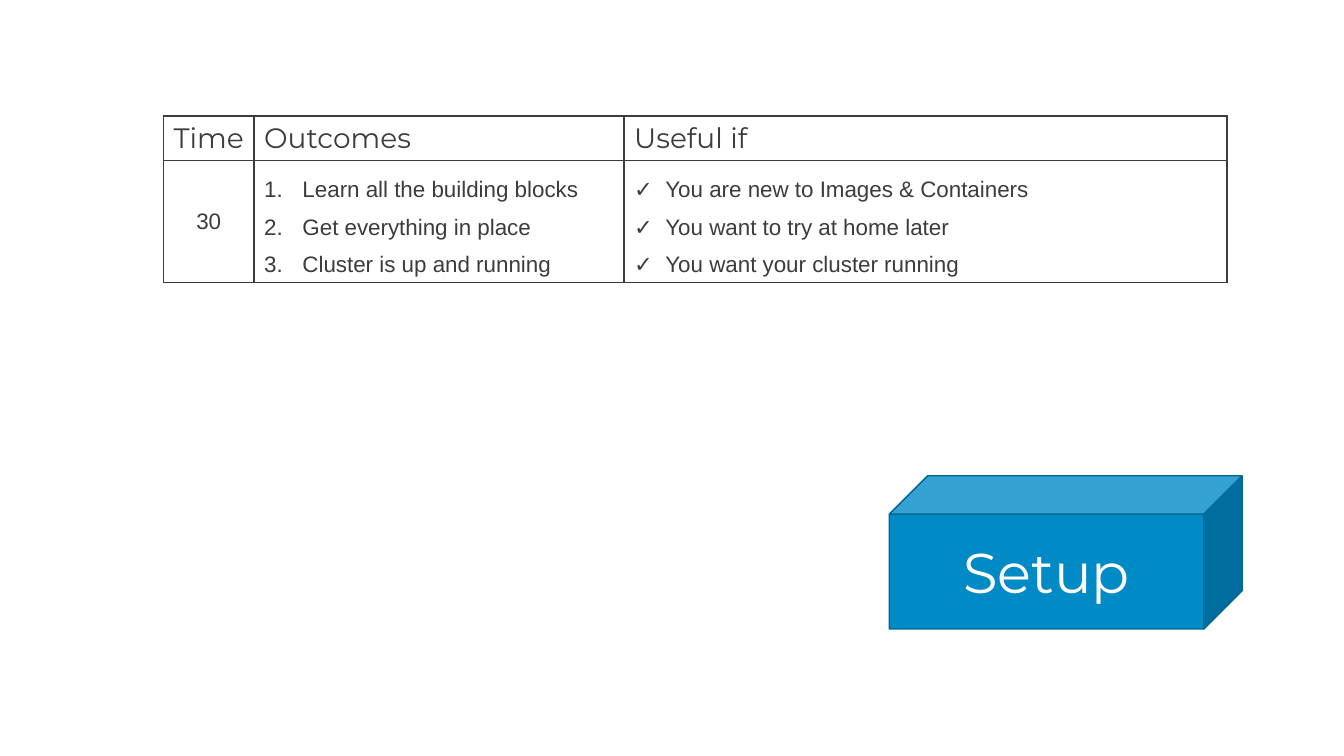
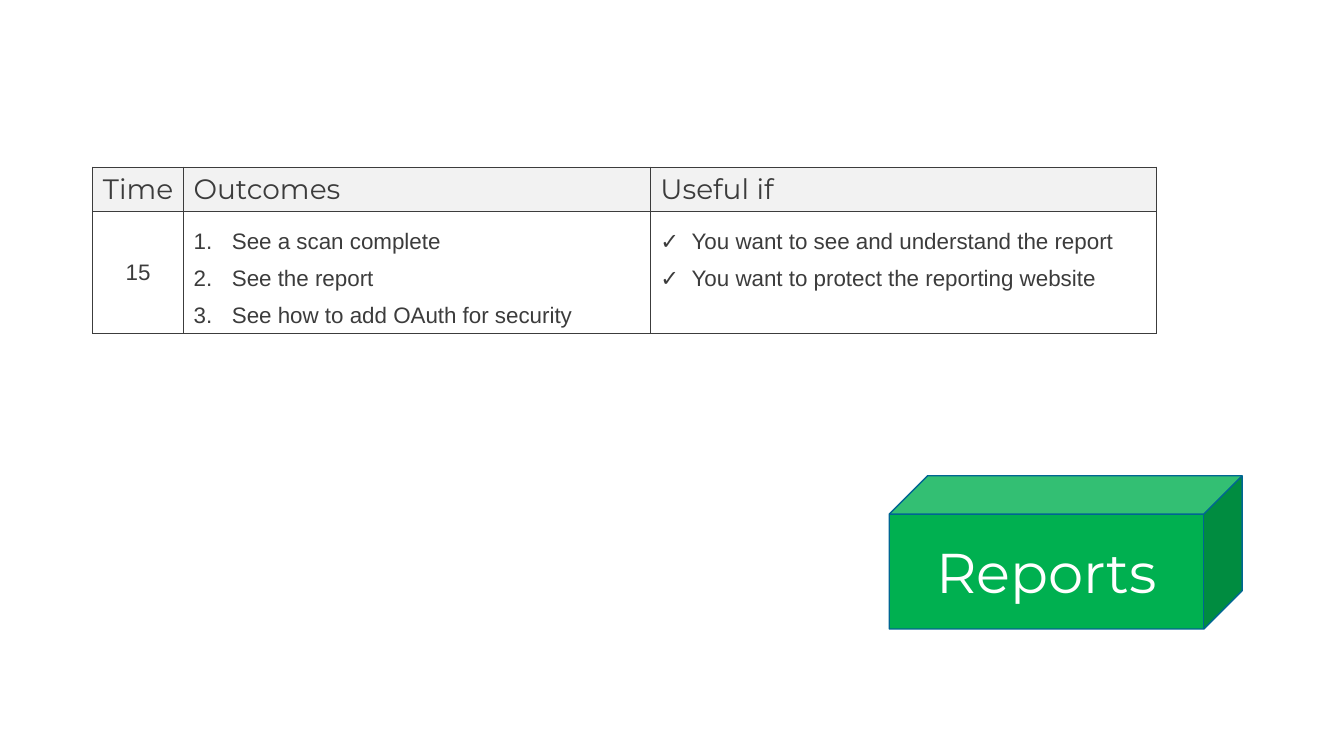
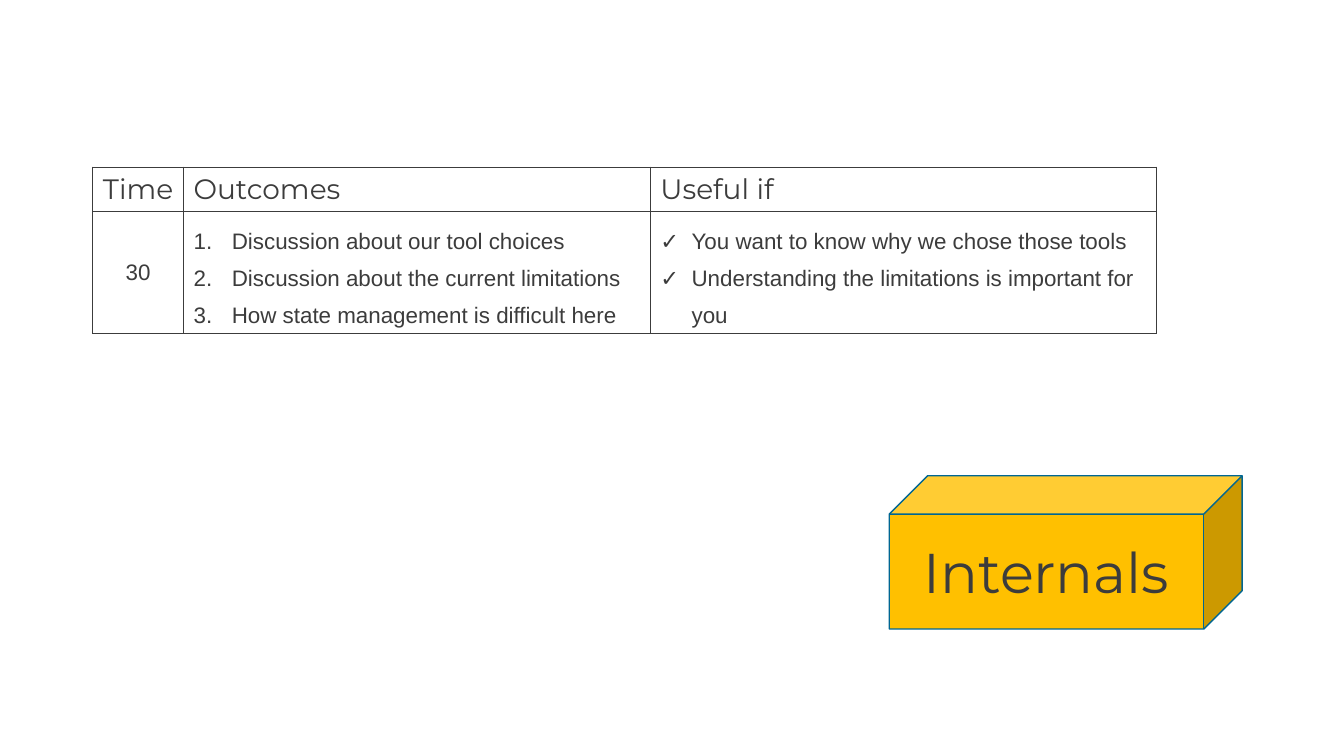
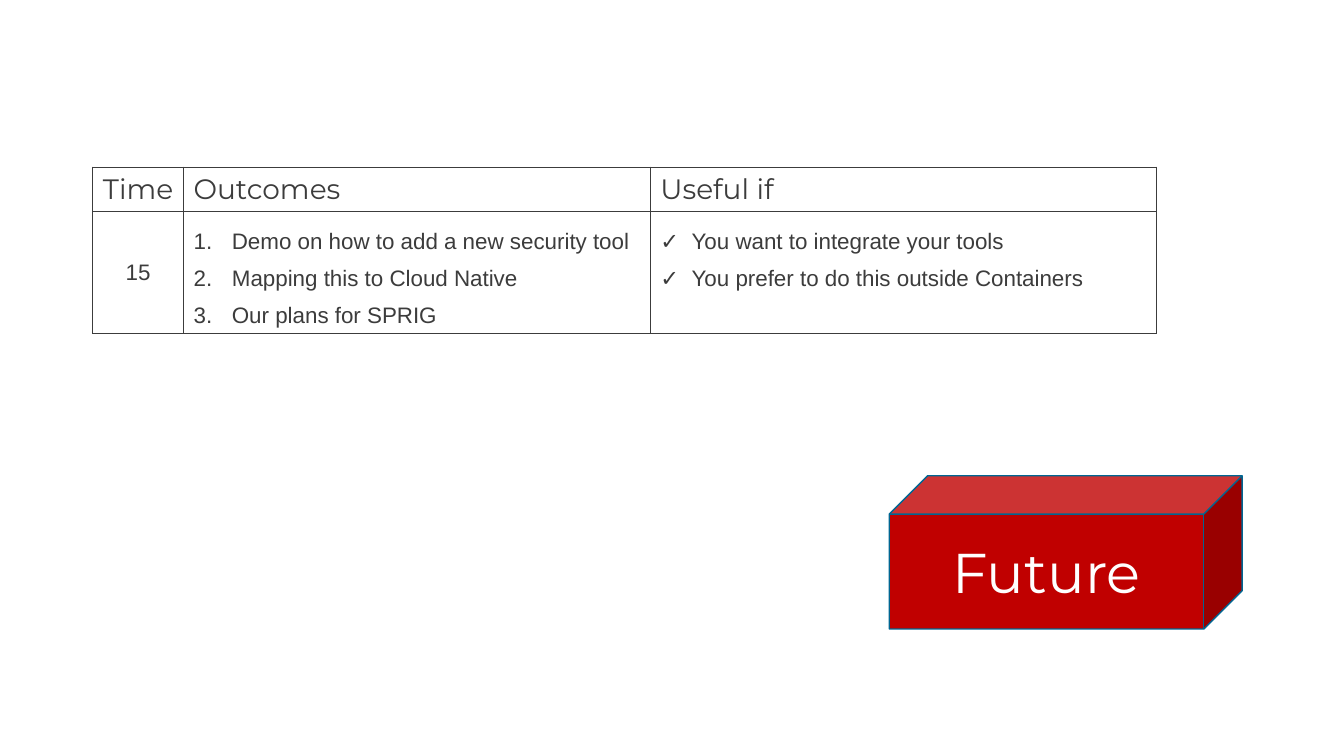
from dataclasses import dataclass
from lxml.etree import SubElement
from pptx import Presentation
from pptx.dml.color import RGBColor
from pptx.enum.shapes import MSO_SHAPE
from pptx.enum.text import MSO_ANCHOR, PP_ALIGN
from pptx.oxml.ns import qn
from pptx.util import Inches, Pt


@dataclass
class Theme:
    ink: str = "3C3C3C"
    white: str = "FFFFFF"
    gray: str = "F2F2F2"
    edge: str = "006692"
    blue: str = "008AC6"
    green: str = "00B050"
    amber: str = "FFC000"
    red: str = "C00000"
    head: str = "Montserrat"
    body: str = "Arial"
    large: int = 40
    mid: int = 20
    small: int = 16


theme = Theme()


def style(para, face, size, color):
    for run in para.runs:
        run.font.name = face
        run.font.size = Pt(size)
        run.font.color.rgb = RGBColor.from_string(color)


def finish(cell, fill):
    props = cell._tc.get_or_add_tcPr()
    for side in ("lnL", "lnR", "lnT", "lnB"):
        line = SubElement(props, qn(f"a:{side}"), w=str(Pt(1)))
        solid = SubElement(line, qn("a:solidFill"))
        SubElement(solid, qn("a:srgbClr"), val=theme.ink)
    cell.fill.solid()
    cell.fill.fore_color.rgb = RGBColor.from_string(fill)


heads = ["Time", "Outcomes", "Useful if"]
left, top = 0.92, 1.66
cols = [0.9, 4.63, 5.02]
rows = [0.44, 1.21]

topics = [
    dict(
        name="Setup", fill=theme.blue, text=theme.white, band=theme.white,
        left=1.62, top=1.15, cols=[0.9, 3.67, 5.98], time="30",
        goals=["Learn all the building blocks", "Get everything in place",
               "Cluster is up and running"],
        uses=["You are new to Images & Containers", "You want to try at home later",
              "You want your cluster running"],
    ),
    dict(
        name="Reports", fill=theme.green, text=theme.white, band=theme.gray,
        left=left, top=top, cols=cols, time="15",
        goals=["See a scan complete", "See the report",
               "See how to add OAuth for security"],
        uses=["You want to see and understand the report",
              "You want to protect the reporting website"],
    ),
    dict(
        name="Internals", fill=theme.amber, text=theme.ink, band=theme.white,
        left=left, top=top, cols=cols, time="30",
        goals=["Discussion about our tool choices",
               "Discussion about the current limitations",
               "How state management is difficult here"],
        uses=["You want to know why we chose those tools",
              "Understanding the limitations is important for you"],
    ),
    dict(
        name="Future", fill=theme.red, text=theme.white, band=theme.white,
        left=left, top=top, cols=cols, time="15",
        goals=["Demo on how to add a new security tool",
               "Mapping this to Cloud Native", "Our plans for SPRIG"],
        uses=["You want to integrate your tools",
              "You prefer to do this outside Containers"],
    ),
]

deck = Presentation()
deck.slide_width = Inches(13.33)
deck.slide_height = Inches(7.5)

for topic in topics:
    slide = deck.slides.add_slide(deck.slide_layouts[6])

    cube = slide.shapes.add_shape(
        MSO_SHAPE.CUBE, Inches(8.82), Inches(4.72), Inches(3.5), Inches(1.52))
    cube.shadow.inherit = False
    cube.fill.solid()
    cube.fill.fore_color.rgb = RGBColor.from_string(topic["fill"])
    cube.line.color.rgb = RGBColor.from_string(theme.edge)
    cube.line.width = Pt(1)
    cube.text_frame.text = topic["name"]
    cube.text_frame.vertical_anchor = MSO_ANCHOR.MIDDLE
    label = cube.text_frame.paragraphs[0]
    label.alignment = PP_ALIGN.CENTER
    style(label, theme.head, theme.large, topic["text"])

    table = slide.shapes.add_table(
        2, 3, Inches(topic["left"]), Inches(topic["top"]),
        Inches(sum(topic["cols"])), Inches(sum(rows))).table
    table.first_row = False
    table.horz_banding = False
    for col, width in zip(table.columns, topic["cols"]):
        col.width = Inches(width)
    for row, height in zip(table.rows, rows):
        row.height = Inches(height)

    for spot, head in enumerate(heads):
        cell = table.cell(0, spot)
        cell.text_frame.text = head
        style(cell.text_frame.paragraphs[0], theme.head, theme.mid, theme.ink)
        finish(cell, topic["band"])

    time = table.cell(1, 0)
    time.text_frame.text = topic["time"]
    style(time.text_frame.paragraphs[0], theme.body, theme.small, theme.ink)
    finish(time, theme.white)
    for row in range(2):
        cell = table.cell(row, 0)
        cell.vertical_anchor = MSO_ANCHOR.MIDDLE
        cell.text_frame.paragraphs[0].alignment = PP_ALIGN.CENTER

    lists = [
        (topic["goals"], 0.38, "a:buAutoNum", {"type": "arabicPeriod"}),
        (topic["uses"], 0.31, "a:buChar", {"char": "✓"}),
    ]
    for spot, (items, indent, mark, kind) in enumerate(lists, 1):
        cell = table.cell(1, spot)
        cell.text_frame.text = "\n".join(items)
        for para in cell.text_frame.paragraphs:
            para.line_spacing = 1.5
            style(para, theme.body, theme.small, theme.ink)
            props = para._p.get_or_add_pPr()
            props.set("marL", str(Inches(indent)))
            props.set("indent", str(-Inches(indent)))
            SubElement(props, qn("a:buFont"), typeface=theme.body)
            SubElement(props, qn(mark), **kind)
        finish(cell, theme.white)

deck.save("out.pptx")
